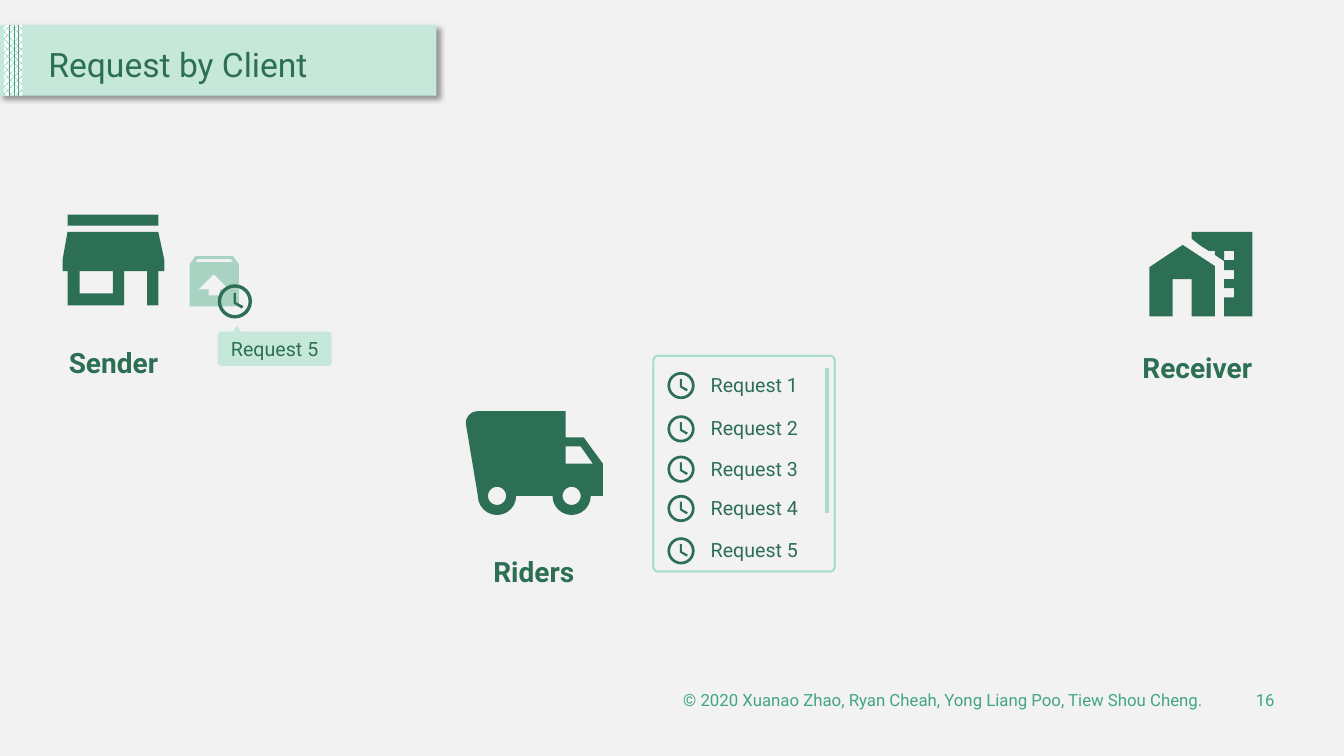
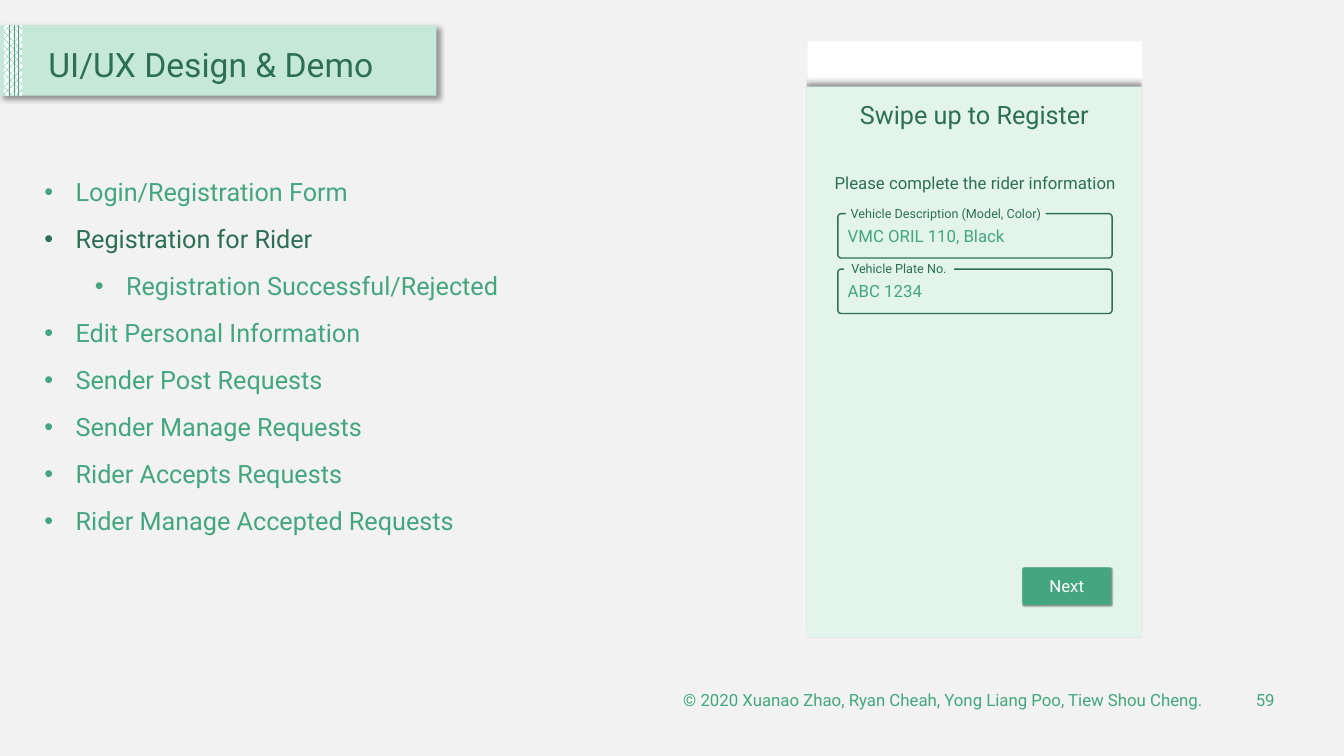
from math import cos, radians, sin

from lxml.etree import SubElement
from pptx import Presentation
from pptx.dml.color import RGBColor
from pptx.enum.dml import MSO_PATTERN
from pptx.enum.shapes import MSO_CONNECTOR, MSO_SHAPE as SHAPE
from pptx.enum.text import MSO_ANCHOR as ANCHOR, MSO_AUTO_SIZE as AUTO, PP_ALIGN as ALIGN
from pptx.oxml.ns import qn
from pptx.util import Emu, Pt

PX = 9144  # 100 px to the inch
FONT = "Roboto"
COLORS = {
    "back": "F2F2F2", "dark": "2D6F55", "green": "43A680", "line": "AADDC9",
    "band": "C6E8DB", "panel": "E3F4ED", "white": "FFFFFF", "black": "000000",
}
SIZE = (1333, 750)
TITLE_BOX = (38, 36, 396, 60)
COPYRIGHT = "© 2020 Xuanao Zhao, Ryan Cheah, Yong Liang Poo, Tiew Shou Cheng."


def arc(x, y, radius, start, end, steps=12):
    """Points on a circle, degrees clockwise from the right."""
    angles = [radians(start + (end - start) * i / steps) for i in range(steps + 1)]
    return [(x + radius * cos(a), y + radius * sin(a)) for a in angles]


def rect(left, top, right, bottom):
    return [(left, top), (right, top), (right, bottom), (left, bottom)]


SHOP = [
    rect(67, 213, 157, 224),
    [(163, 269), (163, 258), (157, 230), (67, 230), (62, 258), (62, 269), (67, 269),
     (67, 303), (123, 303), (123, 269), (146, 269), (146, 303), (157, 303), (157, 269)],
    rect(79, 269, 112, 291),
]
PARCEL = [
    [(231, 254), (194, 254), (188, 262), (188, 304), (237, 304), (237, 262)],
    [(218, 287), (218, 293), (207, 293), (207, 287), (197, 287), (212, 272), (227, 287)],
    [(194, 260), (196, 257), (229, 257), (231, 260)],
]
HOME = [
    [(1173, 243), (1140, 265), (1140, 314), (1163, 314), (1163, 277), (1182, 277),
     (1182, 314), (1205, 314), (1205, 264)],
    [(1182, 230), (1182, 237), (1191, 244), (1199, 249), (1205, 249), (1205, 253),
     (1214, 259), (1214, 268), (1224, 268), (1224, 277), (1214, 277), (1214, 286),
     (1224, 286), (1224, 295), (1214, 295), (1214, 314), (1242, 314), (1242, 230)],
    rect(1214, 249, 1224, 258),
]
TRUCK = [
    [(579, 434), (561, 434), (561, 408), *arc(474, 420, 12, 270, 180),
     *arc(493, 492, 19, 180, 0), *arc(567, 492, 19, 180, 0), (598, 492), (598, 460)],
    arc(493, 492, 9, 0, 360, 24),
    arc(567, 492, 9, 0, 360, 24),
    [(576, 443), (588, 460), (561, 460), (561, 443)],
]
CALLOUT = [
    [(235, 323), (239, 329), *arc(325, 333, 4, 270, 360), *arc(325, 359, 4, 0, 90),
     *arc(220, 359, 4, 90, 180), *arc(220, 333, 4, 180, 270), (231, 329)],
]
CLOCK_HANDS = [(.53, .25), (.46, .25), (.46, .56), (.7, .71), (.75, .64), (.53, .52)]

PLACES = [
    ("Sender", SHOP, (45, 338, 135, 44)),
    ("Receiver", HOME, (1114, 343, 147, 32)),
    ("Riders", TRUCK, (473, 545, 113, 37)),
]
REQUESTS = [("Request 1", 369), ("Request 2", 412), ("Request 3", 452),
            ("Request 4", 491), ("Request 5", 533)]

TOPICS = [  # text, level, colour
    ("Login/Registration Form", 0, "green"),
    ("Registration for Rider", 0, "dark"),
    ("Registration Successful/Rejected", 1, "green"),
    ("Edit Personal Information", 0, "green"),
    ("Sender Post Requests", 0, "green"),
    ("Sender Manage Requests", 0, "green"),
    ("Rider Accepts Requests", 0, "green"),
    ("Rider Manage Accepted Requests", 0, "green"),
]
FIELDS = [  # name, value, top, left and width of the name
    ("Vehicle Description (Model, Color)", "VMC ORIL 110, Black", 212, 839, 198),
    ("Vehicle Plate No.", "ABC 1234", 267, 837, 109),
]


def px(*lengths):
    return [Emu(round(n * PX)) for n in lengths]


def rgb(name):
    return RGBColor.from_string(COLORS[name])


def add_span(para, text, size, color, bold=False):
    span = para.add_run()
    span.text = text
    span.font.name, span.font.size, span.font.bold = FONT, Pt(size), bold
    span.font.color.rgb = rgb(color)


def write(shape, text, size, color, align=ALIGN.LEFT, anchor=ANCHOR.TOP, bold=False):
    frame = shape.text_frame
    frame.word_wrap = True
    frame.vertical_anchor = anchor
    para = frame.paragraphs[0]
    para.alignment = align
    add_span(para, text, size, color, bold)
    return frame


def add_label(page, box, *text, **style):
    return write(page.shapes.add_textbox(*px(*box)), *text, **style)


def paint(shape, fill=None, line=None, width=1):
    shape.shadow.inherit = False
    if fill:
        shape.fill.solid()
        shape.fill.fore_color.rgb = rgb(fill)
    else:
        shape.fill.background()
    if line:
        shape.line.color.rgb = rgb(line)
        shape.line.width = Pt(width)
    else:
        shape.line.fill.background()
    return shape


def add_box(page, box, fill=None, line=None, width=1, kind=SHAPE.RECTANGLE, adjust=None):
    shape = page.shapes.add_shape(kind, *px(*box))
    if adjust is not None:
        shape.adjustments[0] = adjust
    return paint(shape, fill, line, width)


def add_outline(page, contours, fill):
    """One filled freeform; inner contours become holes."""
    builder = None
    for contour in contours:
        first, *rest = [px(*point) for point in contour]
        if builder is None:
            builder = page.shapes.build_freeform(*first, scale=1.0)
        else:
            builder.move_to(*first)
        builder.add_line_segments(rest, close=True)
    return paint(builder.convert_to_shape(), fill)


def add_clock(page, left, top, size):
    add_box(page, (left, top, size, size), "dark", kind=SHAPE.DONUT, adjust=0.1)
    hands = [(left + x * size, top + y * size) for x, y in CLOCK_HANDS]
    add_outline(page, [hands], "dark")


def add_alpha(color, percent):
    SubElement(color, qn("a:alpha"), val=str(percent * 1000))


def cast_shadow(shape, blur, distance, angle):
    effects = shape.element.spPr.find(qn("a:effectLst"))
    shadow = SubElement(effects, qn("a:outerShdw"), blurRad=str(Pt(blur)),
                        dist=str(Pt(distance)), dir=str(angle * 60000),
                        algn="tl", rotWithShape="0")
    add_alpha(SubElement(shadow, qn("a:srgbClr"), val=COLORS["black"]), 40)


def dress_master(master, page):
    """Draw the title band on a page, then move it to the master."""
    master.background.fill.solid()
    master.background.fill.fore_color.rgb = rgb("back")
    band = add_box(page, (0, 25, 433, 70), "band")
    cast_shadow(band, 4, 3, 45)
    strip = add_box(page, (4, 25, 18, 70), "white")
    strip.fill.patterned()
    strip.fill.pattern = MSO_PATTERN.PERCENT_70
    strip.fill.fore_color.rgb = rgb("green")
    strip.fill.back_color.rgb = rgb("white")
    for i, shape in enumerate((band, strip)):
        shape.element.nvSpPr.cNvPr.set("id", str(100 + i))
        master.shapes.element.insert(2 + i, shape.element)


def place(holder, box):
    holder.left, holder.top, holder.width, holder.height = px(*box)
    holder.text_frame.auto_size = AUTO.NONE


def add_title_and_footer(page, title, number):
    place(page.shapes.title, TITLE_BOX)
    frame = write(page.shapes.title, title, 24, "dark", anchor=ANCHOR.MIDDLE)
    frame.paragraphs[0].line_spacing = 0.9
    for text, left, width in ((COPYRIGHT, 544, 659), (str(number), 1215, 59)):
        add_label(page, (left, 674, width, 40), text, 12, "green",
                  align=ALIGN.RIGHT, anchor=ANCHOR.MIDDLE)


def fill_request_page(page):
    for name, icon, box in PLACES:
        add_outline(page, icon, "dark")
        add_label(page, box, name, 20, "dark", align=ALIGN.CENTER, bold=True)

    parcel = add_outline(page, PARCEL, "green")
    add_alpha(parcel.element.spPr.find(".//" + qn("a:srgbClr")), 42)
    add_clock(page, 216, 282, 34)
    write(add_outline(page, CALLOUT, "band"), "Request 5", 14, "dark",
          align=ALIGN.CENTER, anchor=ANCHOR.BOTTOM)

    add_box(page, (648, 353, 180, 214), line="line", width=1.5,
            kind=SHAPE.ROUNDED_RECTANGLE, adjust=0.026)
    for name, top in REQUESTS:
        add_clock(page, 662, top, 27)
        add_label(page, (695, top - 4, 125, 34), name, 14, "dark")
    bar = page.shapes.add_connector(MSO_CONNECTOR.STRAIGHT, *px(820, 365, 820, 509))
    bar.line.color.rgb = rgb("line")
    bar.line.width = Pt(3)
    SubElement(bar.element.spPr, qn("a:effectLst"))


def fill_topics(body):
    place(body, (34, 170, 499, 370))
    frame = body.text_frame
    for i, (text, level, color) in enumerate(TOPICS):
        para = frame.add_paragraph() if i else frame.paragraphs[0]
        para.level = level
        para.space_before = Pt(12 if i else 0)
        props = para._p.get_or_add_pPr()
        indent, = px(31)
        margin, = px(31 + 50 * level)
        props.set("marL", str(margin))
        props.set("indent", str(-indent))
        SubElement(props, qn("a:buFont"), typeface="Arial")
        SubElement(props, qn("a:buChar"), char="•")
        add_span(para, text, 18, color)


def fill_design_page(page):
    fill_topics(page.placeholders[1])
    left, width = 800, 333
    add_box(page, (left + 1, 41, width, 46), "white")
    panel = add_box(page, (left, 86, width, 546), "panel")
    cast_shadow(panel, 4, 3, 270)
    for edge in (left - 20, left + width):  # trims the shadow to the panel's width
        add_box(page, (edge, 41, 20, 592), "back")

    add_label(page, (left, 94, width, 40), "Swipe up to Register", 18, "dark",
              align=ALIGN.CENTER)
    add_label(page, (818, 166, 314, 30), "Please complete the rider information", 12, "dark")
    for name, value, top, name_left, name_width in FIELDS:
        add_box(page, (831, top, 272, 44), line="dark",
                kind=SHAPE.ROUNDED_RECTANGLE, adjust=0.075)
        tag = add_box(page, (name_left, top - 7, name_width, 13), "panel")
        frame = write(tag, name, 9, "dark", align=ALIGN.CENTER, anchor=ANCHOR.MIDDLE)
        frame.word_wrap = False
        frame.margin_left, frame.margin_top, frame.margin_right, frame.margin_bottom = px(4, 4, 4, 4)
        add_label(page, (831, top + 7, 267, 30), value, 12, "green")

    button = add_box(page, (1014, 563, 88, 37), "green",
                     kind=SHAPE.ROUNDED_RECTANGLE, adjust=0.046)
    cast_shadow(button, 1, 1, 45)
    write(button, "Next", 12, "white", align=ALIGN.CENTER, anchor=ANCHOR.MIDDLE)


PAGES = [  # title, number, layout, content
    ("Request by Client", 16, 5, fill_request_page),
    ("UI/UX Design & Demo", 59, 1, fill_design_page),
]


def main():
    deck = Presentation()
    deck.slide_width, deck.slide_height = px(*SIZE)
    for i, (title, number, layout, fill_page) in enumerate(PAGES):
        page = deck.slides.add_slide(deck.slide_layouts[layout])
        if i == 0:
            dress_master(deck.slide_master, page)
        add_title_and_footer(page, title, number)
        fill_page(page)
    deck.save("out.pptx")


if __name__ == "__main__":
    main()
